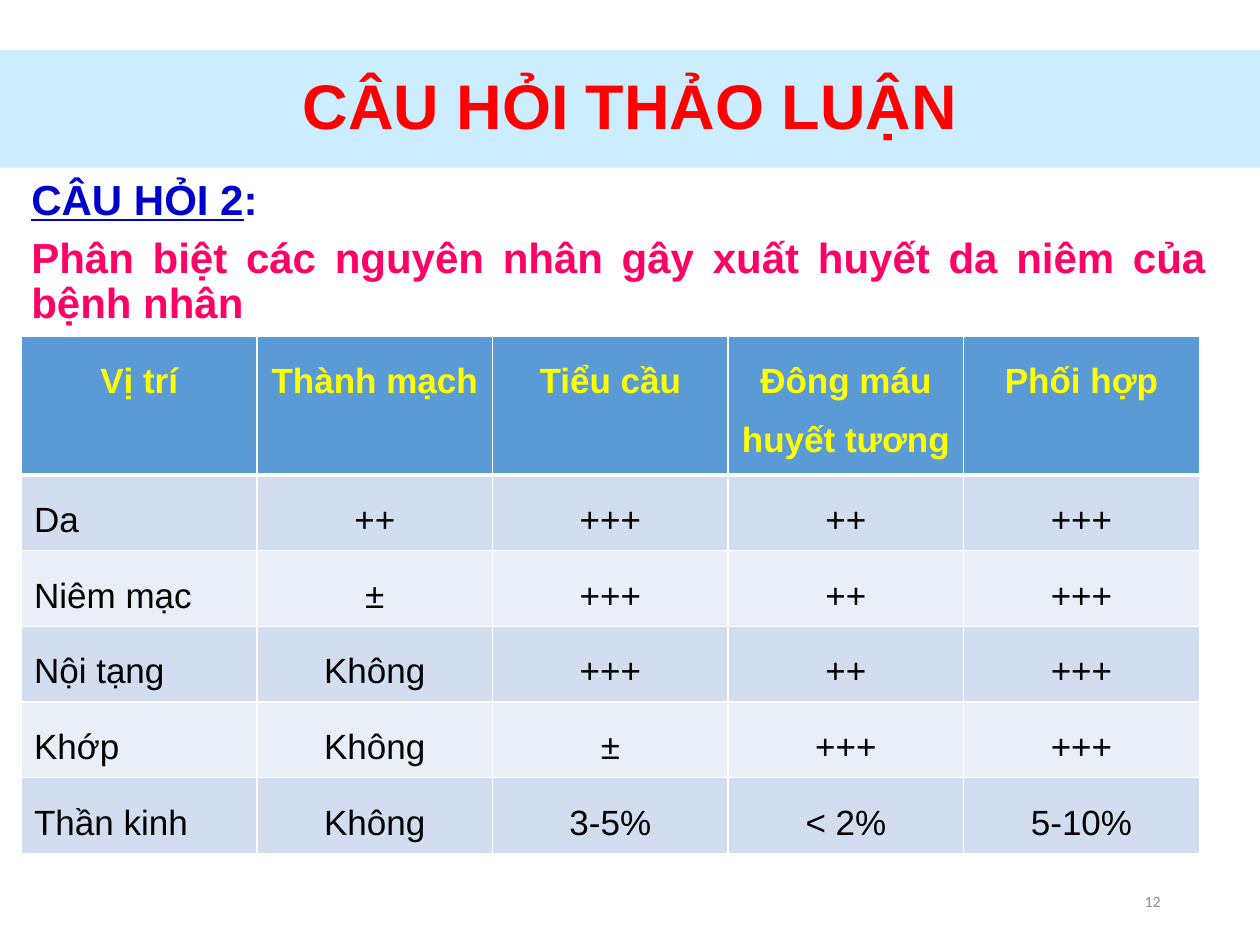
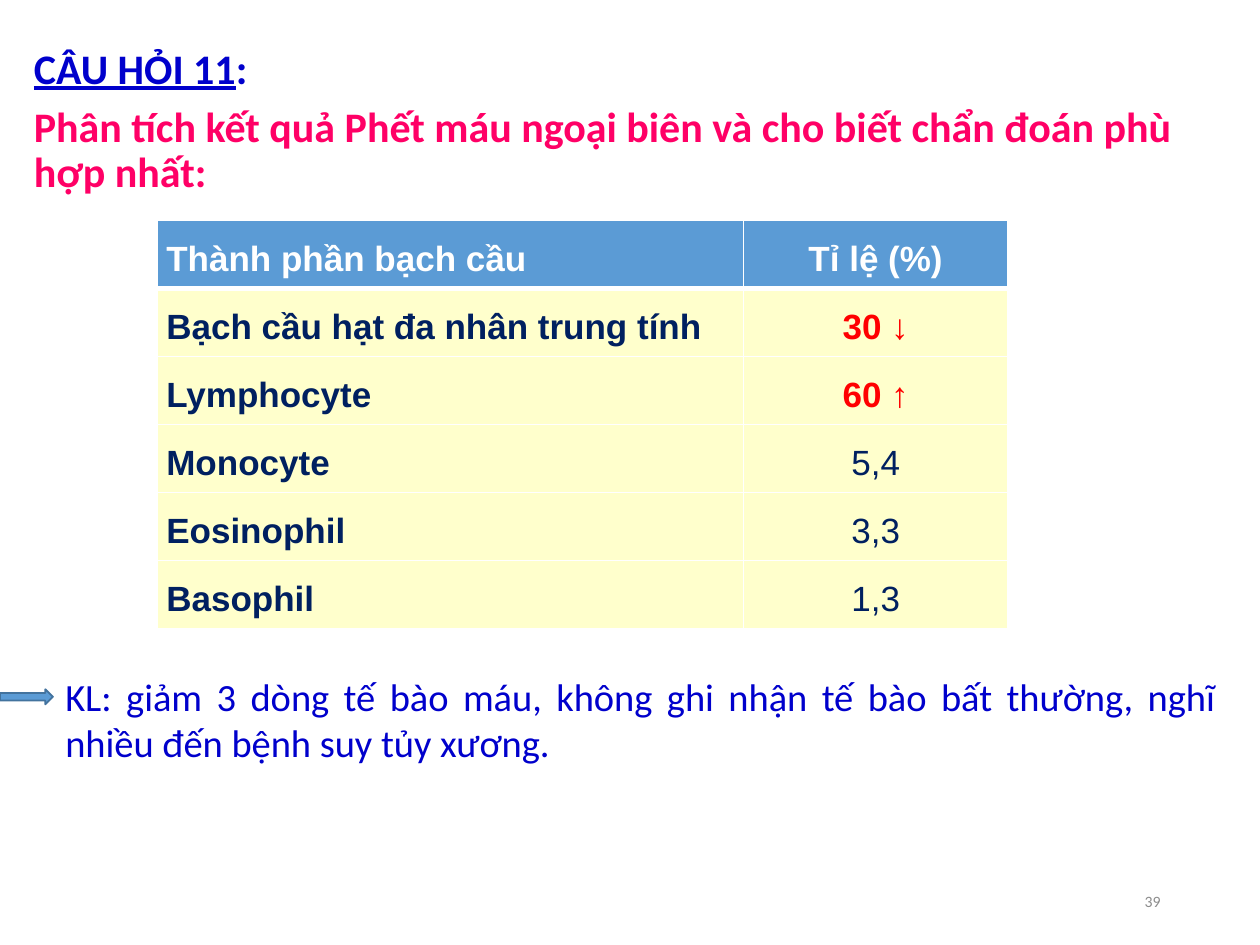
from lxml.etree import SubElement
from pptx import Presentation
from pptx.dml.color import RGBColor
from pptx.enum.shapes import MSO_SHAPE
from pptx.enum.text import MSO_ANCHOR, PP_ALIGN
from pptx.oxml.ns import qn
from pptx.util import Inches, Pt

HUES = {
    "band": "CCECFF", "red": "FF0000", "blue": "0000CC", "pink": "FF0066",
    "gray": "8C8C8C", "head": "5B9BD5", "edge": "43739E", "yellow": "FFFF00",
    "white": "FFFFFF", "black": "000000", "navy": "002060",
    "dark": "D2DEEF", "light": "EAEFF7", "cream": "FFFFCC",
}
LEFT, MID, RIGHT, FULL = PP_ALIGN.LEFT, PP_ALIGN.CENTER, PP_ALIGN.RIGHT, PP_ALIGN.JUSTIFY


def hue(name):
    return RGBColor.from_string(HUES[name])


def apply(thing, form):
    for key, value in form.items():
        setattr(thing, key, value)


def paint(thing, name):
    thing.fill.solid()
    thing.fill.fore_color.rgb = hue(name)


def write(para, text, color, form, **lay):
    apply(para, lay)
    run = para.add_run()
    run.text = text
    apply(run.font, form)
    run.font.color.rgb = hue(color)


def add_box(slide, spot):
    frame = slide.shapes.add_textbox(*map(Inches, spot)).text_frame
    frame.word_wrap = True
    return frame


def add_title(slide, text):
    title = slide.shapes.title
    places = dict(left=0, top=0.4, width=10, height=0.93)
    apply(title, {key: Inches(size) for key, size in places.items()})
    paint(title, "band")
    frame = title.text_frame
    apply(frame, dict(vertical_anchor=MSO_ANCHOR.MIDDLE, word_wrap=True))
    form = dict(size=Pt(36), name="Arial", bold=True)
    write(frame.paragraphs[0], text, "red", form, alignment=MID, line_spacing=0.9)


def add_ask(slide, spot, label, text, face, align):
    frame = add_box(slide, spot)
    form = dict(size=Pt(24), name=face, bold=True)
    lay = dict(alignment=align, line_spacing=0.9)
    first = frame.paragraphs[0]
    write(first, label, "blue", form | dict(underline=True), **lay)
    write(first, ":", "blue", form)
    write(frame.add_paragraph(), text, "pink", form, space_before=Pt(7.5), **lay)


def add_page(slide, number):
    frame = add_box(slide, (7.06, 6.95, 2.25, 0.4))
    frame.vertical_anchor = MSO_ANCHOR.MIDDLE
    form = dict(size=Pt(9), name="Calibri")
    write(frame.paragraphs[0], str(number), "gray", form, alignment=RIGHT)


def add_edges(cell, base):
    props = cell._tc.get_or_add_tcPr()
    for side, width in dict(lnL=1, lnR=1, lnT=1, lnB=base).items():
        line = SubElement(props, qn(f"a:{side}"), w=str(Pt(width)))
        fill = SubElement(line, qn("a:solidFill"))
        SubElement(fill, qn("a:srgbClr"), val=HUES["white"])


def add_grid(slide, place, cols, highs, rows, look, side, pad):
    size = (sum(cols), sum(highs))
    shape = slide.shapes.add_table(len(rows), len(cols), *map(Inches, place + size))
    table = shape.table
    for col, width in zip(table.columns, cols):
        col.width = Inches(width)
    for row, high in zip(table.rows, highs):
        row.height = Inches(high)
    for r, row in enumerate(rows):
        for c, text in enumerate(row):
            cell = table.cell(r, c)
            apply(cell, dict(margin_left=Inches(side), margin_right=Inches(side),
                             margin_top=Inches(pad), margin_bottom=Inches(pad)))
            add_edges(cell, 1 if r else 3)
            back, color, bold, align = look(r, c)
            paint(cell, back)
            form = dict(size=Pt(20), name="Arial", bold=bold)
            write(cell.text_frame.paragraphs[0], text, color, form,
                  alignment=align, line_spacing=1.5)


def cause_look(r, c):
    if r == 0:
        return "head", "yellow", True, MID
    return "dark" if r % 2 else "light", "black", False, MID if c else LEFT


def count_look(r, c):
    align = MID if c else FULL
    if r == 0:
        return "head", "white", True, align
    high = c == 1 and r < 3
    return "cream", "red" if high else "navy", c == 0 or high, align


def add_arrow(slide, spot):
    arrow = slide.shapes.add_shape(MSO_SHAPE.RIGHT_ARROW, *map(Inches, spot))
    arrow.shadow.inherit = False
    paint(arrow, "head")
    arrow.line.color.rgb = hue("edge")
    arrow.line.width = Pt(1)


def add_cause(deck):
    slide = deck.slides.add_slide(deck.slide_layouts[5])
    add_title(slide, "CÂU HỎI THẢO LUẬN")
    add_ask(slide, (0.15, 1.37, 9.52, 4.76), "CÂU HỎI 2",
            "Phân biệt các nguyên nhân gây xuất huyết da niêm của bệnh nhân",
            "Arial", FULL)
    add_page(slide, 12)
    rows = [
        ("Vị trí", "Thành mạch", "Tiểu cầu", "Đông máu huyết tương", "Phối hợp"),
        ("Da", "++", "+++", "++", "+++"),
        ("Niêm mạc", "±", "+++", "++", "+++"),
        ("Nội tạng", "Không", "+++", "++", "+++"),
        ("Khớp", "Không", "±", "+++", "+++"),
        ("Thần kinh", "Không", "3-5%", "< 2%", "5-10%"),
    ]
    add_grid(slide, (0.17, 2.67), (1.87,) * 5, (1.03,) + (0.54,) * 5,
             rows, cause_look, 0.1, 0.05)


def add_count(deck):
    slide = deck.slides.add_slide(deck.slide_layouts[6])
    add_ask(slide, (0.17, 0.33, 9.58, 6.37), "CÂU HỎI 11",
            "Phân tích kết quả Phết máu ngoại biên và cho biết chẩn đoán phù hợp nhất:",
            "Calibri", LEFT)
    add_page(slide, 39)
    rows = [
        ("Thành phần bạch cầu", "Tỉ lệ (%)"),
        ("Bạch cầu hạt đa nhân trung tính", "30 ↓"),
        ("Lymphocyte", "60 ↑"),
        ("Monocyte", "5,4"),
        ("Eosinophil", "3,3"),
        ("Basophil", "1,3"),
    ]
    add_grid(slide, (1.25, 1.75), (4.65, 2.1), (0.54,) * 6, rows, count_look, 0.07, 0)
    frame = add_box(slide, (0.42, 5.29, 9.33, 1.58))
    write(frame.paragraphs[0],
          "KL: giảm 3 dòng tế bào máu, không ghi nhận tế bào bất thường, "
          "nghĩ nhiều đến bệnh suy tủy xương.",
          "blue", dict(size=Pt(22), name="Calibri"), alignment=FULL)
    add_arrow(slide, (0, 5.47, 0.42, 0.12))


def main():
    deck = Presentation()
    apply(deck, dict(slide_width=Inches(10), slide_height=Inches(7.5)))
    add_cause(deck)
    add_count(deck)
    deck.save("out.pptx")


if __name__ == "__main__":
    main()
